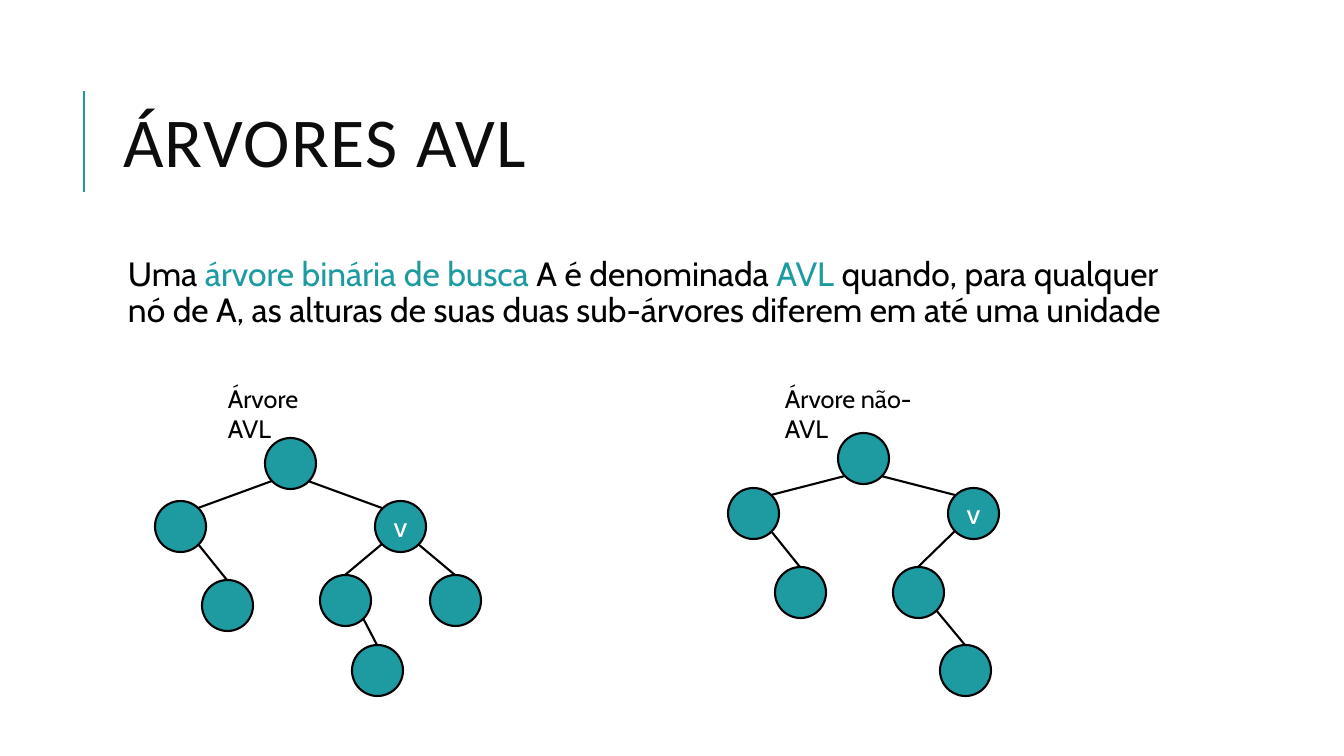
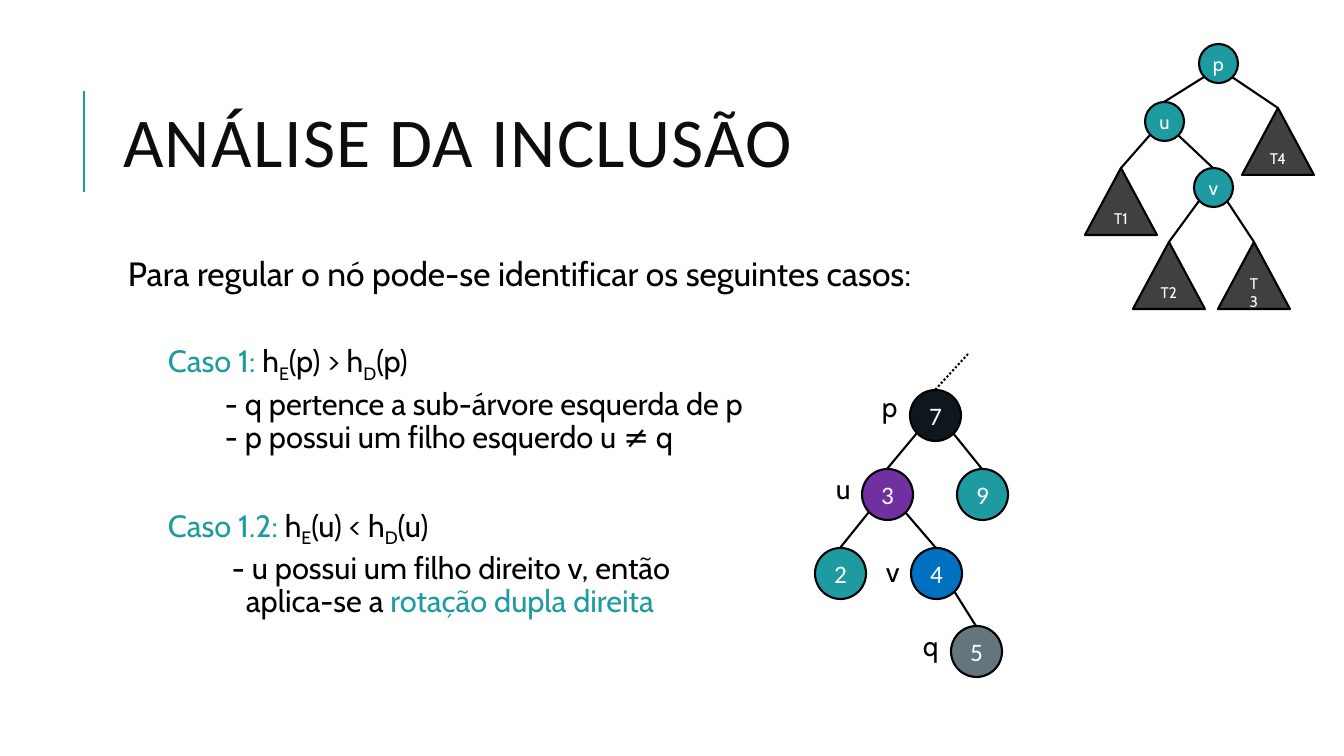
from dataclasses import dataclass

from lxml.etree import SubElement
from pptx import Presentation
from pptx.dml.color import RGBColor
from pptx.enum.dml import MSO_LINE
from pptx.enum.shapes import MSO_CONNECTOR, MSO_SHAPE
from pptx.enum.text import MSO_ANCHOR, MSO_AUTO_SIZE, PP_ALIGN
from pptx.oxml.ns import qn
from pptx.util import Pt

PIXEL = 9071


@dataclass(frozen=True)
class Theme:
    accent: str = "1D9BA1"
    title: str = "0D0D0D"
    ink: str = "000000"
    paper: str = "FFFFFF"
    subtree: str = "404040"
    dark: str = "0D171D"
    purple: str = "7030A0"
    blue: str = "0070C0"
    gray: str = "65757D"
    body_font: str = "Cabin"
    title_font: str = "Calibri"
    title_size: int = 50
    body_size: int = 24
    case_size: int = 22
    letter_size: int = 20
    label_size: int = 18
    small_size: int = 14
    subtree_size: int = 11
    line_width: float = 1.5


theme = Theme()


def write(paragraph, text, size, color=theme.ink, font=theme.body_font, **attributes):
    for position, line in enumerate(text.split("\n")):
        if position:
            paragraph.add_line_break()
        run = paragraph.add_run()
        run.text = line
        run.font.size = Pt(size)
        run.font.name = font
        run.font.color.rgb = RGBColor.from_string(color)
        for name, value in attributes.items():
            run._r.get_or_add_rPr().set(name, str(value))


def connect(slide, start, end, color=theme.ink, dash=None):
    points = [value * PIXEL for value in (*start, *end)]
    connector = slide.shapes.add_connector(MSO_CONNECTOR.STRAIGHT, *points)
    connector.line.color.rgb = RGBColor.from_string(color)
    connector.line.width = Pt(theme.line_width)
    if dash:
        connector.line.dash_style = dash
    SubElement(connector._element.spPr, qn("a:effectLst"))


presentation = Presentation()
presentation.slide_width = 1344 * PIXEL
presentation.slide_height = 756 * PIXEL

# Each paragraph: left margin, first-line indent, space before, space after, size, runs
definition = [
    (10, 0, 12, 2, theme.body_size, [
        ("Uma ", theme.ink, 0),
        ("árvore binária de busca", theme.accent, 0),
        (" A é denominada ", theme.ink, 0),
        ("AVL", theme.accent, 0),
        (" quando, para qualquer nó de A, as alturas de suas duas sub-árvores"
         " diferem em até uma unidade", theme.ink, 0),
    ]),
]
cases = [
    (10, 0, 12, 2, theme.body_size, [
        ("Para regular o nó pode-se identificar os seguintes casos:", theme.ink, 0),
    ]),
]
for case, node, sign, margin, indent, details in [
    ("Caso 1: ", "p", ">", 107, 0, [
        ("- q pertence a sub-árvore esquerda de p\n- p possui um filho esquerdo u ≠ q",
         theme.ink, 0),
    ]),
    ("Caso 1.2: ", "u", "<", 128, -14, [
        ("- u possui um filho direito v, então\naplica-se a ", theme.ink, 0),
        ("rotação dupla direita", theme.accent, 0),
    ]),
]:
    heading = [
        (case, theme.accent, 0),
        ("h", theme.ink, 0),
        ("E", theme.ink, -25000),
        (f"({node}) {sign} h", theme.ink, 0),
        ("D", theme.ink, -25000),
        (f"({node})", theme.ink, 0),
    ]
    cases.append((50, 0, 33, 4, theme.case_size, heading))
    cases.append((margin, indent, 2, 4, theme.case_size, details))

slides = []
for title_text, body in [("ÁRVORES AVL", definition), ("ANÁLISE DA INCLUSÃO", cases)]:
    slide = presentation.slides.add_slide(presentation.slide_layouts[5])
    slides.append(slide)
    connect(slide, (84, 192), (84, 91), theme.accent)

    title = slide.shapes.title
    title.left, title.top, title.width, title.height = (
        value * PIXEL for value in (113, 65, 1072, 165))
    title.text_frame.auto_size = MSO_AUTO_SIZE.NONE
    title.text_frame.vertical_anchor = MSO_ANCHOR.MIDDLE
    paragraph = title.text_frame.paragraphs[0]
    paragraph.alignment = PP_ALIGN.LEFT
    paragraph.line_spacing = 0.8
    write(paragraph, title_text, theme.title_size, theme.title, theme.title_font, spc=100)

    box = slide.shapes.add_textbox(*(value * PIXEL for value in (113, 252, 1072, 444)))
    frame = box.text_frame
    frame.word_wrap = True
    frame.margin_left = frame.margin_right = 5 * PIXEL
    frame.margin_top = frame.margin_bottom = 5 * PIXEL
    for index, (margin, indent, before, after, size, runs) in enumerate(body):
        paragraph = frame.add_paragraph() if index else frame.paragraphs[0]
        paragraph.line_spacing = 0.9
        paragraph.space_before = Pt(before)
        paragraph.space_after = Pt(after)
        properties = paragraph._p.get_or_add_pPr()
        properties.set("marL", str(margin * PIXEL))
        properties.set("indent", str(indent * PIXEL))
        for text, color, baseline in runs:
            write(paragraph, text, size, color, baseline=baseline)

avl_slide, inclusion_slide = slides

# Each node: center, top, parent index, label, fill
avl_tree = [
    (290, 438, None, "", theme.accent),
    (180, 501, 0, "", theme.accent),
    (400, 501, 0, "v", theme.accent),
    (227, 580, 1, "", theme.accent),
    (345, 575, 2, "", theme.accent),
    (455, 575, 2, "", theme.accent),
    (377, 645, 4, "", theme.accent),
]
unbalanced_tree = [
    (863, 433, None, "", theme.accent),
    (753, 488, 0, "", theme.accent),
    (973, 488, 0, "v", theme.accent),
    (800, 567, 1, "", theme.accent),
    (918, 567, 2, "", theme.accent),
    (965, 645, 4, "", theme.accent),
]
number_tree = [
    (935, 390, None, "7", theme.dark),
    (887, 469, 0, "3", theme.purple),
    (982, 469, 0, "9", theme.accent),
    (840, 548, 1, "2", theme.accent),
    (936, 548, 1, "4", theme.blue),
    (976, 626, 4, "5", theme.gray),
]
rotation_tree = [
    (1218, 44, None, "p", theme.accent),
    (1164, 102, 0, "u", theme.accent),
    (1278, 108, 0, "T4", theme.subtree),
    (1121, 168, 1, "T1", theme.subtree),
    (1213, 168, 1, "v", theme.accent),
    (1169, 242, 4, "T2", theme.subtree),
    (1254, 242, 4, "T3", theme.subtree),
]

for slide, tree, diameter, size, font, root_meets_side in [
    (avl_slide, avl_tree, 51, theme.letter_size, theme.body_font, True),
    (avl_slide, unbalanced_tree, 51, theme.letter_size, theme.body_font, True),
    (inclusion_slide, number_tree, 51, theme.label_size, theme.title_font, False),
    (inclusion_slide, rotation_tree, 39, theme.small_size, theme.body_font, False),
]:
    diagonal = round(diameter * 0.354)
    radius = diameter // 2
    for center, top, parent, label, fill in tree:
        if parent is not None:
            parent_center, parent_top = tree[parent][:2]
            side = 1 if center > parent_center else -1
            start = (parent_center + side * diagonal, parent_top + radius + diagonal)
            end = (center, top)
            if root_meets_side and parent == 0:
                end = (center - side * diagonal, top + radius - diagonal)
            connect(slide, start, end)

        is_subtree = fill == theme.subtree
        kind = MSO_SHAPE.ISOSCELES_TRIANGLE if is_subtree else MSO_SHAPE.OVAL
        width, height = (72, 67) if is_subtree else (diameter, diameter)
        shape = slide.shapes.add_shape(
            kind, (center - width // 2) * PIXEL, top * PIXEL, width * PIXEL, height * PIXEL)
        shape.shadow.inherit = False
        shape.fill.solid()
        shape.fill.fore_color.rgb = RGBColor.from_string(fill)
        shape.line.color.rgb = RGBColor.from_string(theme.ink)
        shape.line.width = Pt(theme.line_width)
        if label:
            frame = shape.text_frame
            frame.word_wrap = label == "T3"
            frame.vertical_anchor = MSO_ANCHOR.MIDDLE
            frame.margin_left = frame.margin_right = 11 * PIXEL
            frame.paragraphs[0].alignment = PP_ALIGN.CENTER
            label_size = theme.subtree_size if is_subtree else size
            write(frame.paragraphs[0], label, label_size, theme.paper, font)

connect(inclusion_slide, (968, 354), (935, 390), dash=MSO_LINE.ROUND_DOT)

for slide, text, left, top, width, height, size, wrap in [
    (avl_slide, "Árvore AVL", 218, 378, 135, 40, theme.label_size, True),
    (avl_slide, "Árvore não-AVL", 775, 378, 181, 40, theme.label_size, True),
    (inclusion_slide, "p", 872, 385, 36, 44, theme.letter_size, False),
    (inclusion_slide, "u", 826, 467, 32, 44, theme.letter_size, False),
    (inclusion_slide, "q", 913, 624, 36, 44, theme.letter_size, False),
    (inclusion_slide, "v", 876, 550, 32, 44, theme.letter_size, False),
]:
    box = slide.shapes.add_textbox(
        left * PIXEL, top * PIXEL, width * PIXEL, height * PIXEL)
    box.text_frame.word_wrap = wrap
    write(box.text_frame.paragraphs[0], text, size)

presentation.save("out.pptx")
